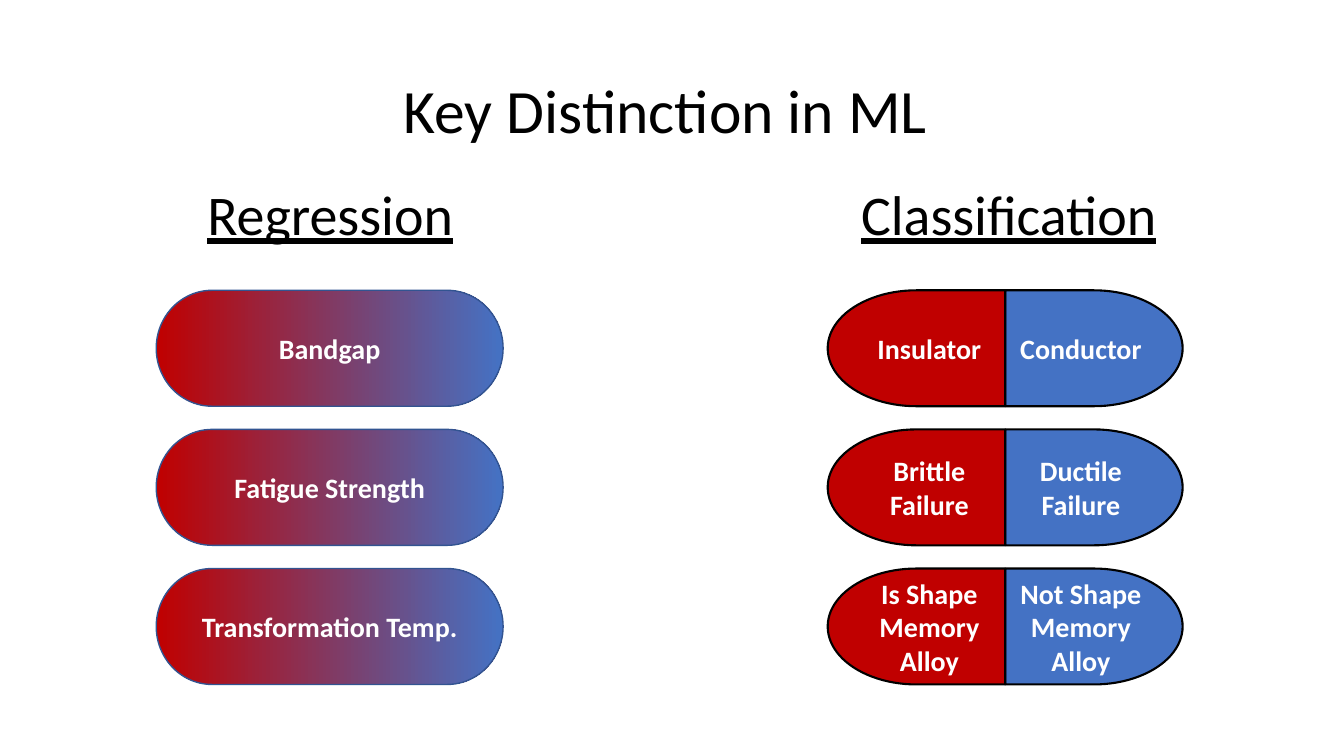
import pptx
import pptx.util
import pptx.dml.color
import pptx.enum.shapes
import pptx.enum.text

Inches = pptx.util.Inches
Pt = pptx.util.Pt
SHAPE = pptx.enum.shapes.MSO_SHAPE

COLORS = {
    "text": "000000",
    "label": "FFFFFF",
    "red": "C00000",
    "blue": "4472C4",
    "pill_line": "325491",
    "half_line": "000000",
}
ROW_TOP, ROW_PITCH, ROW_HEIGHT = 2.88, 1.38, 1.15
PILL_LEFT, PILL_WIDTH = 1.55, 3.44
SPLIT_X, HALF_WIDTH = 9.97, 1.76

REGRESSION = ["Bandgap", "Fatigue Strength", "Transformation Temp."]
CLASSIFICATION = [
    ("Insulator", "Conductor"),
    ("Brittle\vFailure", "Ductile\vFailure"),
    ("Is Shape Memory Alloy", "Not Shape Memory Alloy"),
]


def rgb(name):
    return pptx.dml.color.RGBColor.from_string(COLORS[name])


class SlideBuilder:
    font = "Calibri"

    def __init__(self, slide):
        self.slide = slide

    def set_text(self, sp, text, size, color, bold=None, underline=None, spacing=None):
        tf = sp.text_frame
        tf.word_wrap = True
        tf.vertical_anchor = pptx.enum.text.MSO_ANCHOR.MIDDLE
        tf.text = text
        p = tf.paragraphs[0]
        p.alignment = pptx.enum.text.PP_ALIGN.CENTER
        p.line_spacing = spacing
        p.font.name = self.font
        p.font.size = Pt(size)
        p.font.bold = bold
        p.font.underline = underline
        p.font.color.rgb = rgb(color)

    def title(self, text, left, top, width, height):
        sp = self.slide.shapes.title
        sp.left, sp.top = Inches(left), Inches(top)
        sp.width, sp.height = Inches(width), Inches(height)
        self.set_text(sp, text, 44, "text", spacing=0.9)

    def heading(self, text, left):
        sp = self.slide.shapes.add_textbox(
            Inches(left), Inches(1.43), Inches(6.67), Inches(1.45))
        self.set_text(sp, text, 40, "text", underline=True, spacing=0.9)

    def shape(self, kind, text, left, top, width, line, line_width):
        sp = self.slide.shapes.add_shape(
            kind, Inches(left), Inches(top), Inches(width), Inches(ROW_HEIGHT))
        sp.shadow.inherit = False
        sp.line.color.rgb = rgb(line)
        sp.line.width = Pt(line_width)
        self.set_text(sp, text, 20, "label", bold=True)
        return sp

    def pill(self, text, top):
        """Add a pill that blends from red to blue."""
        sp = self.shape(SHAPE.FLOWCHART_TERMINATOR, text, PILL_LEFT, top,
                        PILL_WIDTH, "pill_line", 1)
        sp.fill.gradient()
        sp.fill.gradient_angle = 0
        for stop, color in zip(sp.fill.gradient_stops, ("red", "blue")):
            stop.color.rgb = rgb(color)

    def half(self, text, left, top, color, flip=False):
        """Add one half of a split pill; flip rounds its left end."""
        sp = self.shape(SHAPE.FLOWCHART_DELAY, text, left, top,
                        HALF_WIDTH, "half_line", 1.5)
        sp.fill.solid()
        sp.fill.fore_color.rgb = rgb(color)
        if flip:
            sp.element.spPr.xfrm.set("flipH", "1")


def main():
    prs = pptx.Presentation()
    prs.slide_width, prs.slide_height = Inches(13.33), Inches(7.5)
    s = SlideBuilder(prs.slides.add_slide(prs.slide_layouts[5]))

    s.title("Key Distinction in ML ", 0.92, 0.4, 11.5, 1.45)
    s.heading("Classification", 6.67)
    s.heading("Regression", -0.06)

    for i, (quantity, (left_class, right_class)) in enumerate(
            zip(REGRESSION, CLASSIFICATION)):
        top = ROW_TOP + i * ROW_PITCH
        s.pill(quantity, top)
        s.half(right_class, SPLIT_X, top, "blue")
        s.half(left_class, SPLIT_X - HALF_WIDTH, top, "red", flip=True)

    prs.save("out.pptx")


if __name__ == "__main__":
    main()
